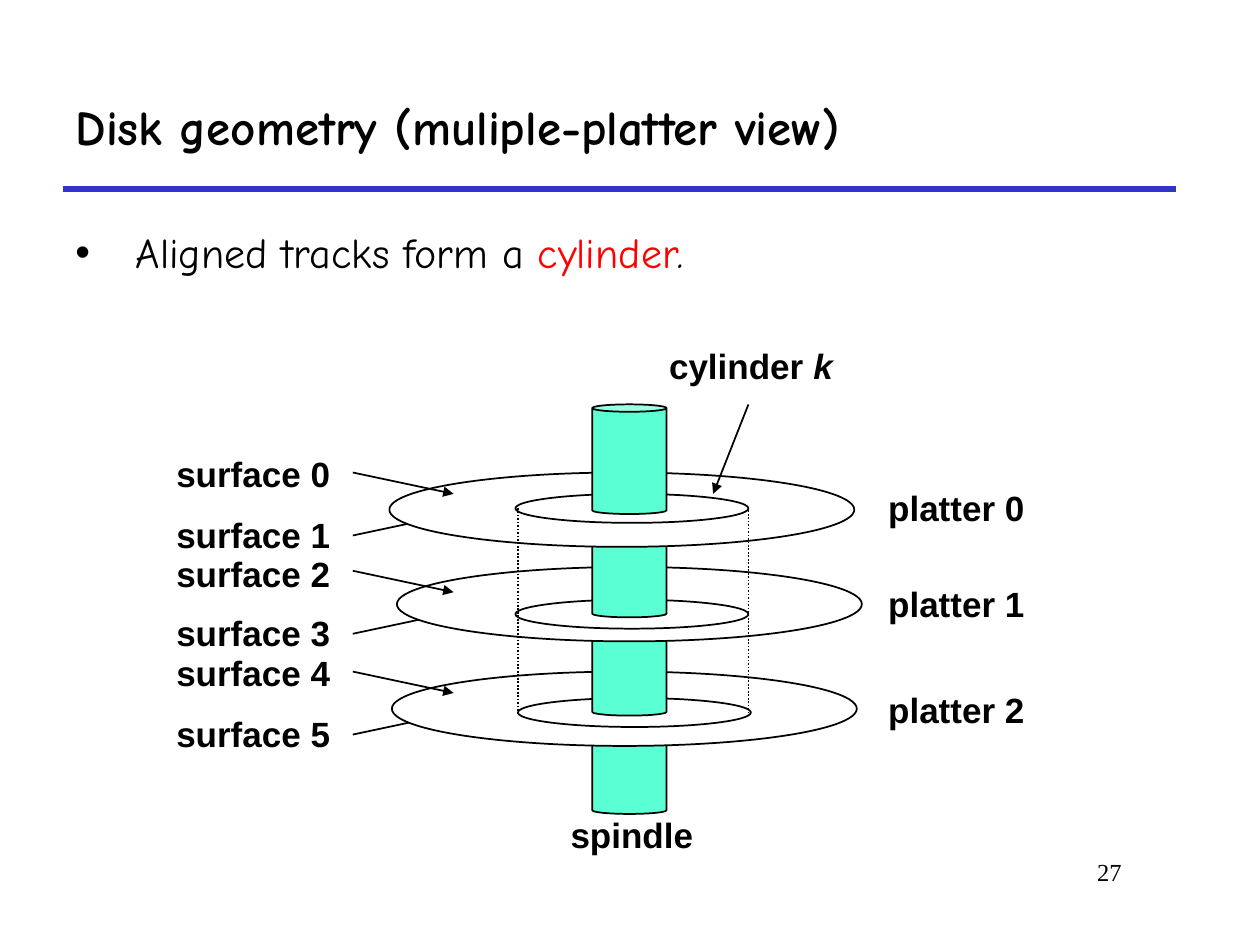
from lxml import etree
from pptx import Presentation, util as u
from pptx.dml.color import RGBColor
from pptx.enum import dml, shapes, text
from pptx.oxml.ns import qn

PX = 9144  # EMU per px, 100 px to the inch
BLACK, WHITE, RED, BLUE, MINT = "000000", "FFFFFF", "FF0000", "3333CC", "5BFFD4"

presentation = Presentation()
presentation.slide_width, presentation.slide_height = 1000 * PX, 750 * PX
slide = presentation.slides.add_slide(presentation.slide_layouts[5])


def write(paragraph, words, font="Arial", size=20, color=BLACK, bold=False, italic=False):
    run = paragraph.add_run()
    run.text = words
    run.font.name, run.font.size = font, u.Pt(size)
    run.font.bold, run.font.italic = bold, italic
    run.font.color.rgb = RGBColor.from_string(color)


def draw(kind, left, top, width, height, fill=None, line=BLACK, weight=1, arrow=False):
    """Add a preset shape, or a connector when kind is None."""
    box = [value * PX for value in (left, top, width, height)]
    if kind is None:
        shape = slide.shapes.add_connector(
            shapes.MSO_CONNECTOR.STRAIGHT, box[0], box[1], box[0] + box[2], box[1] + box[3])
        etree.SubElement(shape.line._get_or_add_ln(), qn("a:tailEnd"),
                         type="triangle" if arrow else "none")
    else:
        shape = slide.shapes.add_shape(kind, *box)
        shape.shadow.inherit = False
        if fill:
            shape.fill.solid()
            shape.fill.fore_color.rgb = RGBColor.from_string(fill)
        else:
            shape.fill.background()
    shape.line.color.rgb = RGBColor.from_string(line)
    shape.line.width = u.Pt(weight)
    if kind is None:
        etree.SubElement(shape._element.spPr, qn("a:effectLst"))
    return shape


# Title and rule
title = slide.shapes.title
title.left, title.top, title.width, title.height = 50 * PX, 50 * PX, 883 * PX, 100 * PX
title.text_frame.auto_size = text.MSO_AUTO_SIZE.NONE
title.text_frame.vertical_anchor = text.MSO_ANCHOR.MIDDLE
paragraph = title.text_frame.paragraphs[0]
paragraph.alignment = text.PP_ALIGN.LEFT
write(paragraph, "Disk geometry (muliple-platter view)", font="Comic Neue", size=28, bold=True)
draw(None, 50, 150, 883, 0, line=BLUE, weight=3)

# Bullet
body = slide.shapes.add_textbox(50 * PX, 175 * PX, 908 * PX, 67 * PX)
body.text_frame.word_wrap = True
paragraph = body.text_frame.paragraphs[0]
paragraph.space_before = u.Pt(6)
properties = paragraph._p.get_or_add_pPr()
properties.set("marL", str(48 * PX))
properties.set("indent", str(-48 * PX))
etree.SubElement(properties, qn("a:buFont"), typeface="Arial")
etree.SubElement(properties, qn("a:buChar"), char="•")
for words, color, italic in [("Aligned tracks form a ", BLACK, False),
                             ("cylinder", RED, False), (".", BLACK, True)]:
    write(paragraph, words, font="Comic Neue", size=24, color=color, italic=italic)

# Pointers to the lower surfaces, hidden in part by the platters
for top in (425, 503, 583):
    draw(None, 280, top, 80, -17, arrow=True)

# Disk stack from the bottom up: spindle section, platter, track
SPINDLE_TOPS = [559, 481, 403, 321]
PLATTERS = [(311, 533), (315, 450), (309, 375)]
TRACKS = [(411, 554), (409, 476), (409, 392)]
for level, spindle_top in enumerate(SPINDLE_TOPS):
    spindle = draw(shapes.MSO_SHAPE.CAN, 470, spindle_top, 59, 87, fill=MINT)
    spindle.adjustments[0] = 0.1
    if level < len(PLATTERS):
        draw(shapes.MSO_SHAPE.OVAL, *PLATTERS[level], 369, 59, fill=WHITE)
        draw(shapes.MSO_SHAPE.OVAL, *TRACKS[level], 185, 23)

# Pointers to the upper surfaces and to the cylinder
for top in (375, 453, 533):
    draw(None, 280, top, 80, 17, arrow=True)
draw(None, 594, 321, -28, 71, arrow=True)

# Cylinder sides
for left, top in [(411, 403), (594, 405)]:
    side = draw(None, left, top, 0, 163)
    side.line.dash_style = dml.MSO_LINE.ROUND_DOT

# Labels: left, top, width, upright words, italic words
labels = [(521, 268, 150, "cylinder ", "k"), (439, 640, 125, "spindle", "")]
labels += [(130, top, 142, f"surface {number}", "")
           for number, top in enumerate((354, 402, 433, 480, 512, 560))]
labels += [(695, top, 128, f"platter {number}", "")
           for number, top in enumerate((381, 457, 541))]
for left, top, width, words, slanted in labels:
    label = slide.shapes.add_textbox(left * PX, top * PX, width * PX, 44 * PX)
    label.text_frame.word_wrap = False
    label.text_frame.auto_size = text.MSO_AUTO_SIZE.SHAPE_TO_FIT_TEXT
    label.text_frame.vertical_anchor = text.MSO_ANCHOR.MIDDLE
    paragraph = label.text_frame.paragraphs[0]
    paragraph.alignment = text.PP_ALIGN.CENTER
    write(paragraph, words, bold=True)
    if slanted:
        write(paragraph, slanted, bold=True, italic=True)

# Slide number
number_box = slide.shapes.add_textbox(758 * PX, 675 * PX, 142 * PX, 50 * PX)
number_box.text_frame.word_wrap = True
paragraph = number_box.text_frame.paragraphs[0]
paragraph.alignment = text.PP_ALIGN.RIGHT
write(paragraph, "27", font="Times New Roman", size=14)

presentation.save("out.pptx")
